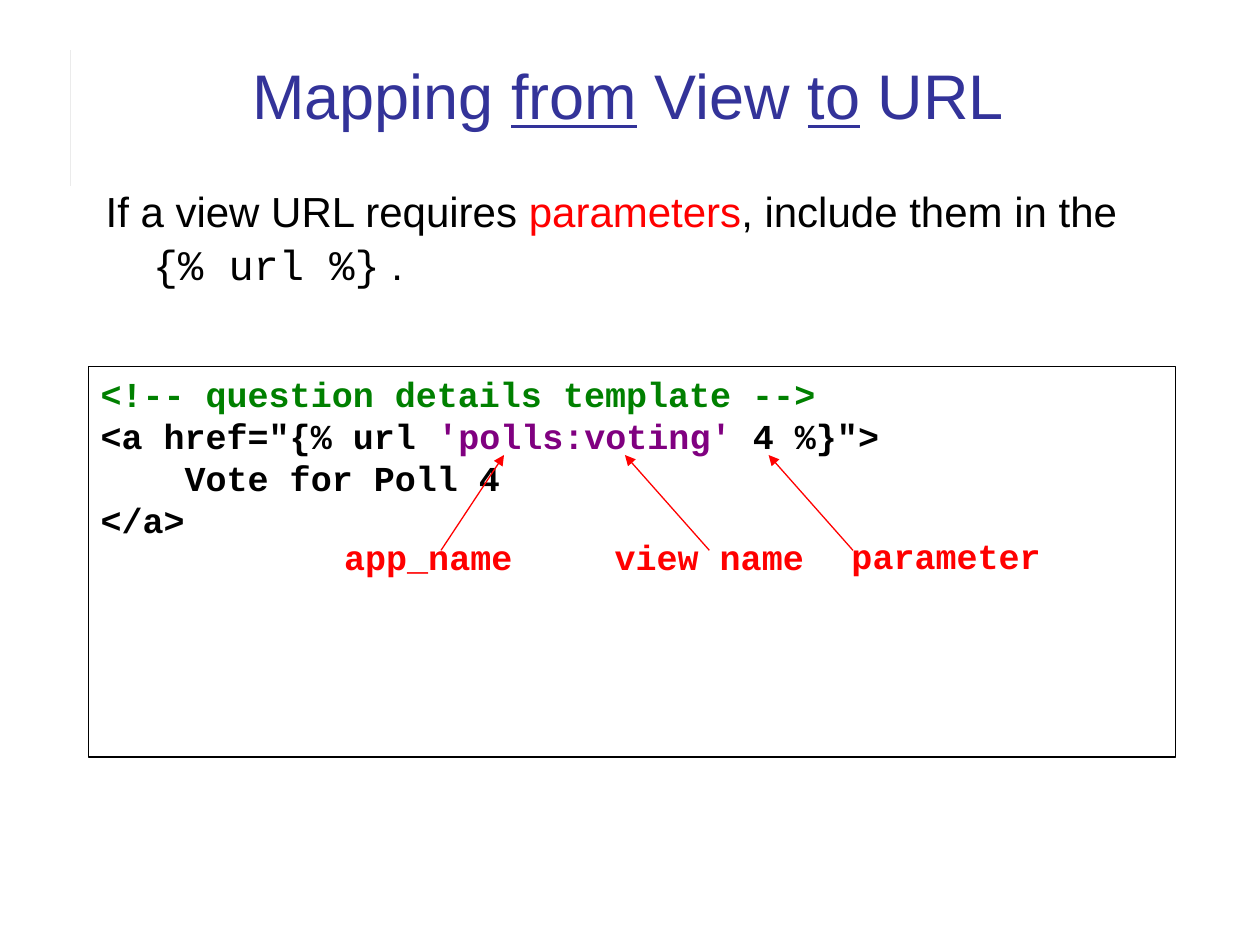
from dataclasses import dataclass

from pptx import Presentation
from pptx import util as u
from pptx.dml.color import RGBColor
from pptx.enum import shapes, text
from pptx.oxml.ns import qn
from lxml import etree

Pt = u.Pt


@dataclass(frozen=True)
class Theme:
    """Colours, fonts and type sizes of the slide."""
    title: str = "333399"
    ink: str = "000000"
    accent: str = "FF0000"
    comment: str = "008000"
    string: str = "800080"
    rule: str = "EBEBEB"
    sans: str = "Arial"
    mono: str = "Courier New"
    title_size: int = 36
    body_size: int = 24
    code_size: int = 20
    title_leading: int = 45
    body_leading: int = 30
    code_leading: int = 24


THEME = Theme()


def write_runs(paragraph, runs, size, leading, font, bold=None):
    """Fill a paragraph with (words, colour, overrides) runs."""
    paragraph.line_spacing = Pt(leading)
    for words, colour, *overrides in runs:
        run = paragraph.add_run()
        run.text = words
        run.font.name = font
        run.font.size = Pt(size)
        run.font.bold = bold
        run.font.color.rgb = RGBColor.from_string(colour)
        for attribute, value in overrides:
            setattr(run.font, attribute, value)


def add_text(slide, left, top, width, height, anchor=text.MSO_ANCHOR.TOP):
    """Add a wrapping text box and return its text frame."""
    frame = slide.shapes.add_textbox(Pt(left), Pt(top), Pt(width), Pt(height)).text_frame
    frame.word_wrap = True
    frame.vertical_anchor = anchor
    return frame


def add_line(slide, start, end, colour, weight, arrow=False):
    """Draw a straight line, with an arrowhead at its end if wanted."""
    line = slide.shapes.add_connector(
        shapes.MSO_CONNECTOR.STRAIGHT, *(Pt(value) for value in (*start, *end)))
    line.line.color.rgb = RGBColor.from_string(colour)
    line.line.width = Pt(weight)
    if arrow:
        etree.SubElement(line.line._get_or_add_ln(), qn("a:tailEnd"), type="triangle")
    etree.SubElement(line._element.spPr, qn("a:effectLst"))


def add_title(slide):
    """Add the centred title with its two underlined words."""
    paragraph = add_text(slide, 48.24, 20.16, 621.36, 65.52,
                         text.MSO_ANCHOR.MIDDLE).paragraphs[0]
    paragraph.alignment = text.PP_ALIGN.CENTER
    underlined = ("underline", True)
    write_runs(paragraph, [
        ("Mapping ", THEME.title), ("from", THEME.title, underlined),
        (" View ", THEME.title), ("to", THEME.title, underlined),
        (" URL", THEME.title),
    ], THEME.title_size, THEME.title_leading, THEME.sans)


def add_explanation(slide):
    """Add the sentence with a hanging indent."""
    paragraph = add_text(slide, 53.28, 101.52, 621.36, 78.48).paragraphs[0]
    properties = paragraph._p.get_or_add_pPr()
    properties.set("marL", str(Pt(27)))
    properties.set("indent", str(-Pt(27)))
    write_runs(paragraph, [
        ("If a view URL requires ", THEME.ink), ("parameters", THEME.accent),
        (", include them in the ", THEME.ink),
        ("{% url %}", THEME.ink, ("name", THEME.mono)), (" .", THEME.ink),
    ], THEME.body_size, THEME.body_leading, THEME.sans)


def add_code(slide, lines):
    """Add the outlined code panel, one paragraph per line of code."""
    panel = slide.shapes.add_shape(
        shapes.MSO_SHAPE.RECTANGLE, Pt(50.4), Pt(209.52), Pt(621.36), Pt(223.2))
    panel.shadow.inherit = False
    panel.fill.background()
    panel.line.color.rgb = RGBColor.from_string(THEME.ink)
    panel.line.width = Pt(0.75)
    frame = panel.text_frame
    frame.word_wrap = True
    frame.vertical_anchor = text.MSO_ANCHOR.TOP
    for index, runs in enumerate(lines):
        paragraph = frame.add_paragraph() if index else frame.paragraphs[0]
        paragraph.alignment = text.PP_ALIGN.LEFT
        write_runs(paragraph, runs, THEME.code_size, THEME.code_leading, THEME.mono, True)


def add_callout(slide, words, left, top, start, end):
    """Add a red label and the arrow from it to the code."""
    paragraph = add_text(slide, left, top, 144, 31).paragraphs[0]
    paragraph.alignment = text.PP_ALIGN.CENTER
    write_runs(paragraph, [(words, THEME.accent)],
               THEME.code_size, THEME.code_leading, THEME.mono, True)
    add_line(slide, start, end, THEME.accent, 0.75, arrow=True)


def main():
    """Build and save the slide."""
    deck = Presentation()
    deck.slide_width, deck.slide_height = Pt(720), Pt(540)
    slide = deck.slides.add_slide(deck.slide_layouts[6])
    add_line(slide, (40, 28.8), (40, 106.56), THEME.rule, 0.25)
    add_title(slide)
    add_explanation(slide)
    add_code(slide, [
        [("<!-- question details template -->", THEME.comment)],
        [('<a href="{% url ', THEME.ink), ("'polls:voting'", THEME.string),
         (' 4 %}">', THEME.ink)],
        [("    Vote for Poll 4", THEME.ink)],
        [("</a>", THEME.ink)],
    ])
    for words, left, top, start_x, end_x in [
        ("app_name", 172.8, 302.4, 252, 288),
        ("view name", 333.36, 302.4, 405.36, 357.12),
        ("parameter", 468.72, 301.68, 487.44, 439.2),
    ]:
        add_callout(slide, words, left, top, (start_x, 314.5), (end_x, 260))
    deck.save("out.pptx")


if __name__ == "__main__":
    main()
